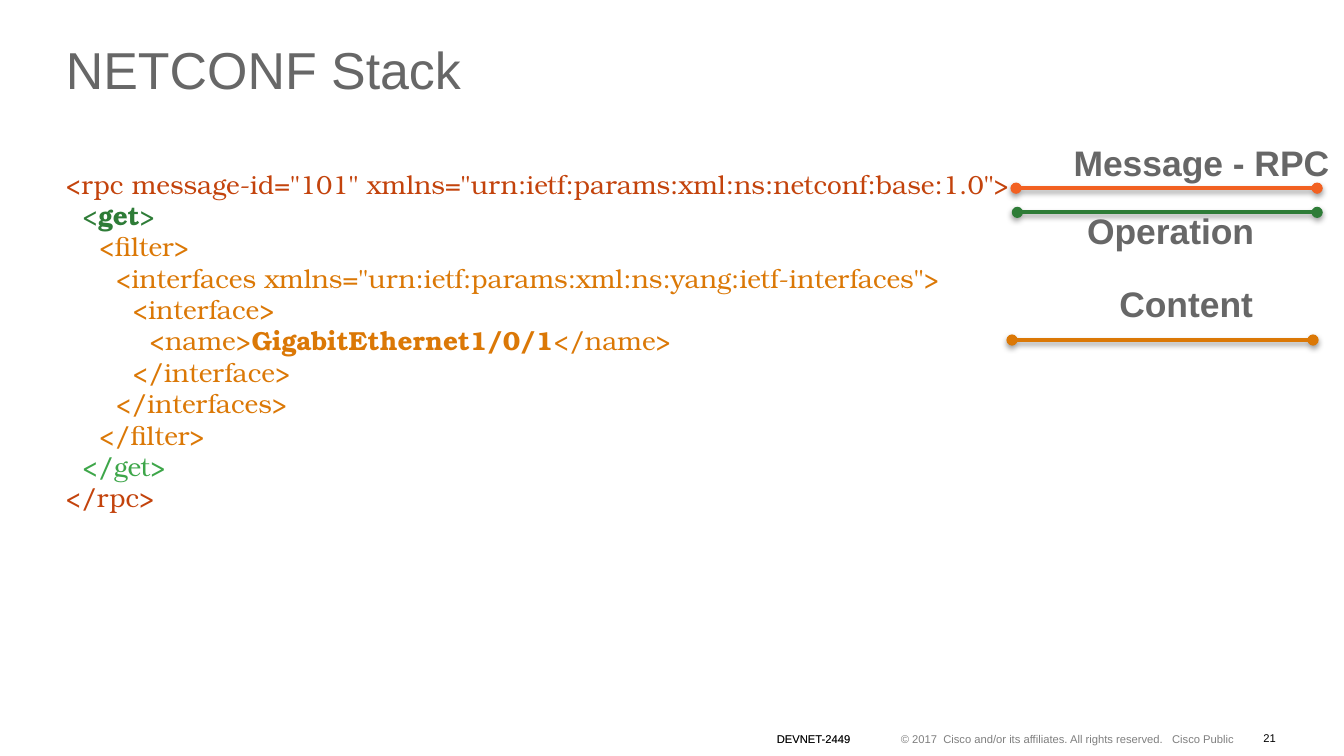
from lxml.etree import SubElement
from pptx import Presentation
from pptx.dml.color import RGBColor
from pptx.enum.shapes import MSO_CONNECTOR as Connector
from pptx.enum.text import MSO_ANCHOR as Anchor, PP_ALIGN as Align
from pptx.oxml.ns import qn
from pptx.util import Inches, Pt

GREY, MUTED, BLACK = "676767", "7F7F7F", "000000"
RPC, GET, GET_END, FILTER = "C3430C", "2E7C37", "3DA649", "DB7806"

CODE = [
    (0, RPC, ['<rpc message-id="101" xmlns="urn:ietf:params:xml:ns:netconf:base:1.0">']),
    (1, GET, ["<", "get", ">"]),
    (2, FILTER, ["<filter>"]),
    (3, FILTER, ['<interfaces xmlns="urn:ietf:params:xml:ns:yang:ietf-interfaces">']),
    (4, FILTER, ["<interface>"]),
    (5, FILTER, ["<name>", "GigabitEthernet1/0/1", "</name>"]),
    (4, FILTER, ["</interface>"]),
    (3, FILTER, ["</interfaces>"]),
    (2, FILTER, ["</filter>"]),
    (1, GET_END, ["</get>"]),
    (0, RPC, ["</rpc>"]),
]

LAYERS = [
    ("Message - RPC", (0.36, 0, 2.13), "F26122", (0.03, 0.4, 2.27, 0.4)),
    ("Operation", (0.46, 0.51, 1.46), GET, (0.04, 0.58, 2.27, 0.58)),
    ("Content", (0.7, 1.05, 1.21), FILTER, (0, 1.53, 2.24, 1.53)),
]


def rgb(value):
    """Turn a hex string into a colour."""
    return RGBColor.from_string(value)


def write(paragraph, text, size=6, color=BLACK, bold=False, font="Arial", align=Align.LEFT):
    """Add one formatted run to a paragraph."""
    paragraph.alignment = align
    run = paragraph.add_run()
    run.text = text
    run.font.size = Pt(size)
    run.font.name = font
    run.font.bold = bold
    run.font.color.rgb = rgb(color)


def set_frame(frame, wrap=True, anchor=Anchor.TOP, insets=(0.1, 0.05)):
    """Set wrapping, anchoring and insets of a text frame."""
    frame.word_wrap = wrap
    frame.vertical_anchor = anchor
    frame.margin_left = frame.margin_right = Inches(insets[0])
    frame.margin_top = frame.margin_bottom = Inches(insets[1])


def add_frame(slide, box, **layout):
    """Add a text box and return its frame."""
    frame = slide.shapes.add_textbox(*map(Inches, box)).text_frame
    set_frame(frame, **layout)
    return frame


def add_title(slide, box, text):
    """Place the slide title."""
    title = slide.shapes.title
    title.left, title.top, title.width, title.height = map(Inches, box)
    set_frame(title.text_frame, insets=(0.07, 0.04))
    heading = title.text_frame.paragraphs[0]
    heading.line_spacing = 0.9
    write(heading, text, size=27.8, color=GREY)


def add_code(slide, box):
    """Place the XML request, with the middle part of a split line in bold."""
    frame = add_frame(slide, box)
    for number, (depth, color, parts) in enumerate(CODE):
        line = frame.add_paragraph() if number else frame.paragraphs[0]
        for index, part in enumerate(parts):
            indent = "" if index else "  " * depth
            write(line, indent + part, size=14, color=color, bold=index == 1, font="TeX Gyre Bonum")


def add_marker(slide, ends, color):
    """Draw a shadowed line with round ends."""
    marker = slide.shapes.add_connector(Connector.STRAIGHT, *map(Inches, ends))
    marker.line.color.rgb = rgb(color)
    marker.line.width = Pt(2)
    outline = marker.line._get_or_add_ln()
    for end in ("a:headEnd", "a:tailEnd"):
        SubElement(outline, qn(end), type="oval")
    effects = SubElement(marker._element.spPr, qn("a:effectLst"))
    shadow = SubElement(effects, qn("a:outerShdw"), blurRad=str(Pt(3.1)), dist=str(Pt(1.6)),
                        dir="5400000", rotWithShape="0")
    shade = SubElement(shadow, qn("a:srgbClr"), val=BLACK)
    SubElement(shade, qn("a:alpha"), val="38000")


def add_layers(slide, left, top):
    """Place the stack layers, each a marker and a label."""
    for _, _, color, (x1, y1, x2, y2) in LAYERS:
        add_marker(slide, (left + x1, top + y1, left + x2, top + y2), color)
    for label, (x, y, width), _, _ in LAYERS:
        frame = add_frame(slide, (left + x, top + y, width, 0.42), wrap=False)
        write(frame.paragraphs[0], label, size=19, color=GREY, bold=True)


def add_footer(slide, left, top):
    """Place the copyright line, the doubled session code and the page number."""
    small = {"anchor": Anchor.BOTTOM, "insets": (0.07, 0.03)}
    rights = add_frame(slide, (left + 0.84, top, 2.7, 0.17), **small)
    write(rights.paragraphs[0],
          "© 2017  Cisco and/or its affiliates. All rights reserved.   Cisco Public",
          color=MUTED, align=Align.RIGHT)
    for color in (MUTED, BLACK):
        session = add_frame(slide, (left, top, 0.78, 0.17), **small)
        write(session.paragraphs[0], "DEVNET-2449", color=color)
    page = add_frame(slide, (left + 3.49, top - 0.07, 0.39, 0.3), anchor=Anchor.MIDDLE)
    write(page.paragraphs[0], "21", align=Align.RIGHT)


def main():
    """Build and save the slide."""
    deck = Presentation()
    deck.slide_width = Inches(10)
    deck.slide_height = deck.slide_width * 9 // 16
    slide = deck.slides.add_slide(deck.slide_layouts[5])
    add_title(slide, (0.42, 0.29, 9.35, 0.5), "NETCONF Stack")
    add_code(slide, (0.39, 1.2, 8.66, 2.69))
    add_layers(slide, 7.53, 1)
    add_footer(slide, 5.71, 5.41)
    deck.save("out.pptx")


if __name__ == "__main__":
    main()
